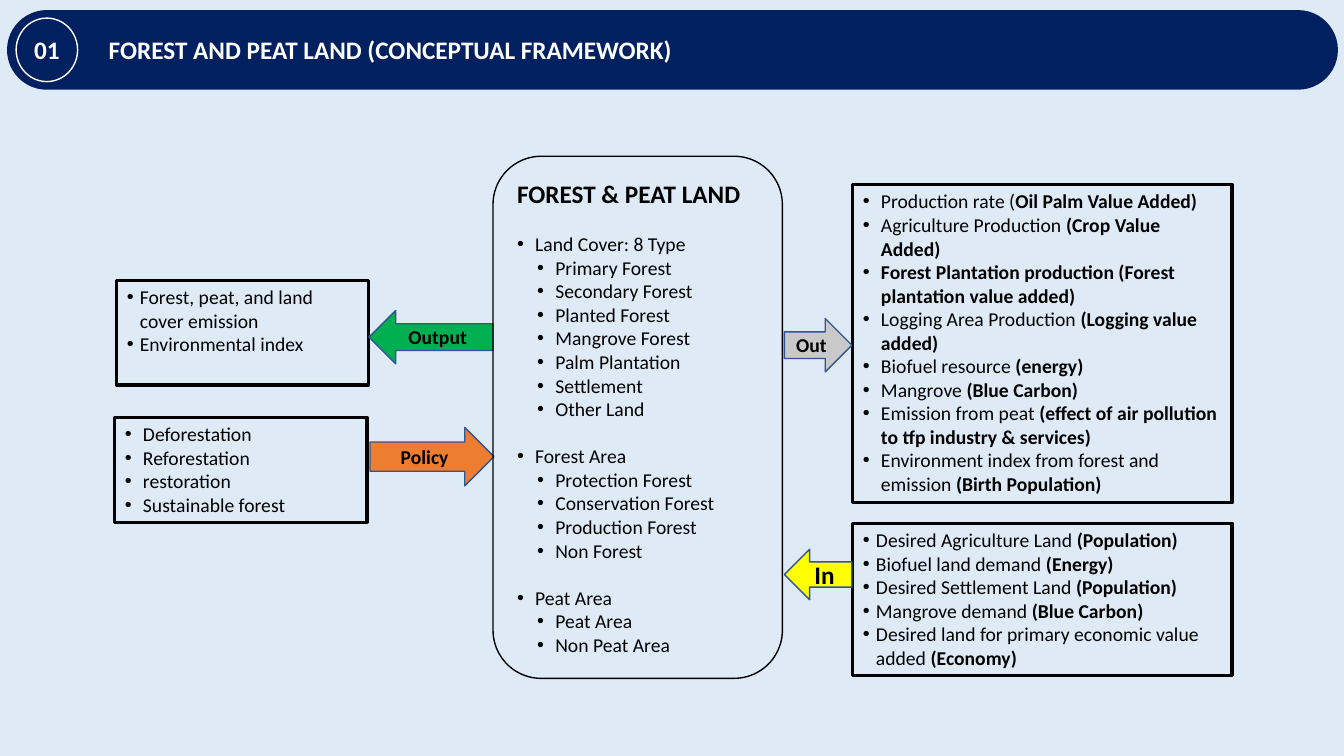
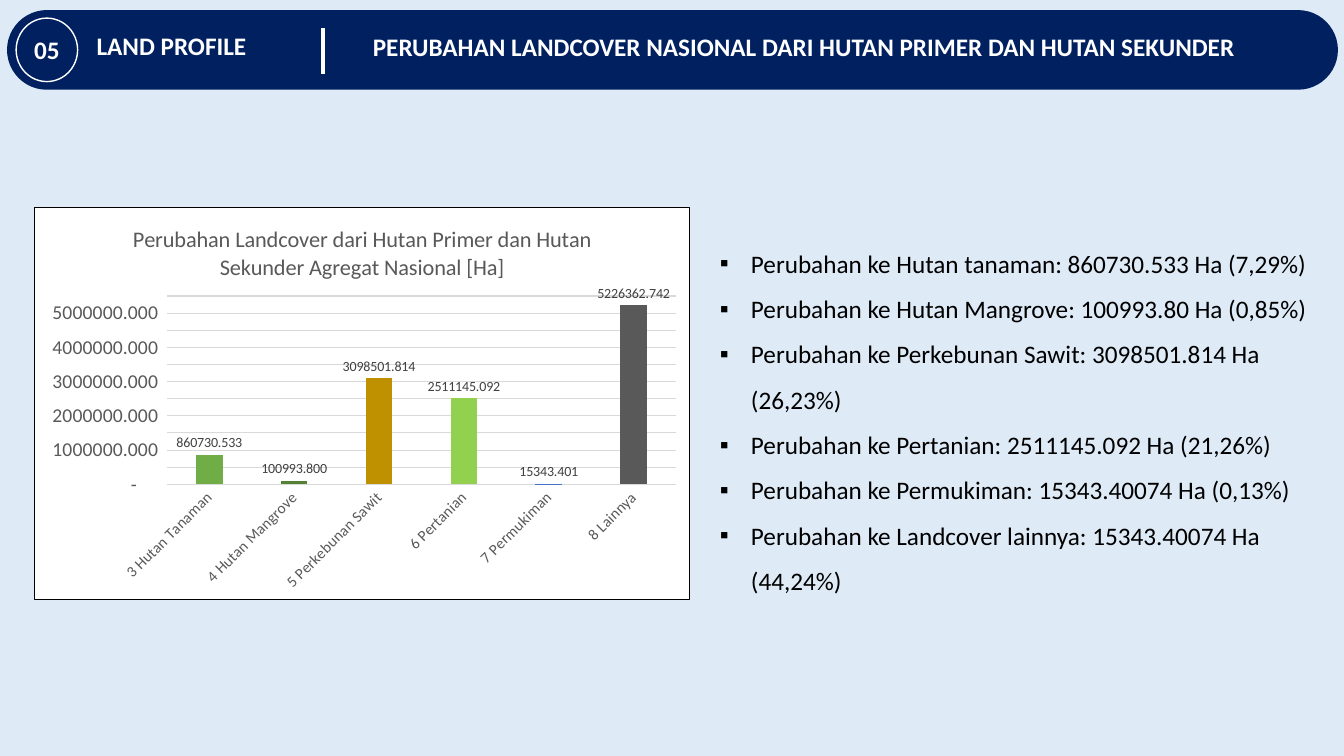
import pptx
import pptx.chart.data
import pptx.dml.color
import pptx.enum.chart
import pptx.enum.shapes
import pptx.enum.text
import pptx.oxml
import pptx.oxml.ns
import pptx.util

Inches, Pt = pptx.util.Inches, pptx.util.Pt
Shape = pptx.enum.shapes.MSO_SHAPE
Anchor = pptx.enum.text.MSO_ANCHOR
Align = pptx.enum.text.PP_ALIGN
qn = pptx.oxml.ns.qn

FONT = "Calibri"
SKY, NAVY, WHITE, BLACK = "DEEBF7", "002060", "FFFFFF", "000000"
EDGE, GRID, GREY, DARK = "325491", "D9D9D9", "595959", "404040"
FORMAT = r'_(* #.##0_);_(* \(#.##0\);_(* "-"??_);_(@_)'


def tone(code):
    return pptx.dml.color.RGBColor.from_string(code)


def paint(item, fill=None, line=None, width=1):
    """Set fill and outline; None means there is none."""
    if fill:
        item.fill.solid()
        item.fill.fore_color.rgb = tone(fill)
    else:
        item.fill.background()
    if line:
        item.line.color.rgb = tone(line)
        item.line.width = Pt(width)
    else:
        item.line.fill.background()


def style(font, size, color=BLACK, bold=False):
    font.name, font.size, font.bold = FONT, Pt(size), bold
    font.color.rgb = tone(color)


def bullet(para, hang, left=None, mark="•"):
    props = para._p.get_or_add_pPr()
    props.set("marL", str(Inches(left or hang)))
    props.set("indent", str(-Inches(hang)))
    for tag, key, value in (("buFont", "typeface", "Arial"), ("buChar", "char", mark)):
        node = pptx.oxml.ns.nsdecls("a")
        props.append(pptx.oxml.parse_xml(f'<a:{tag} {node} {key}="{value}"/>'))


class Deck:
    def __init__(self):
        self.show = pptx.Presentation()
        self.show.slide_width, self.show.slide_height = Inches(13.33), Inches(7.5)
        fill = self.show.slide_master.background.fill
        fill.solid()
        fill.fore_color.rgb = tone(SKY)
        self.slide = None

    def start(self, number):
        """Add a slide with the header band and its number."""
        self.slide = self.show.slides.add_slide(self.show.slide_layouts[6])
        band = self.shape(Shape.ROUNDED_RECTANGLE, (0.07, 0.1, 13.2, 0.79), NAVY)
        band.adjustments[0] = 0.5
        badge = self.shape(Shape.OVAL, (0.16, 0.18, 0.61, 0.63), NAVY, WHITE)
        frame = badge.text_frame
        frame.margin_left = frame.margin_right = 0
        self.label(badge, number, 18, WHITE)

    def shape(self, kind, place, fill=None, line=None, width=1):
        item = self.slide.shapes.add_shape(kind, *map(Inches, place))
        item.shadow.inherit = False
        paint(item, fill, line, width)
        return item

    def label(self, item, text, size, color=BLACK):
        """Centre one bold line in a shape."""
        frame = item.text_frame
        frame.word_wrap, frame.vertical_anchor = True, Anchor.MIDDLE
        para = frame.paragraphs[0]
        para.alignment = Align.CENTER
        self.run(para, text, size, color, True)

    def run(self, para, text, size, color=BLACK, bold=False):
        part = para.add_run()
        part.text = text
        style(part.font, size, color, bold)

    def paras(self, frame, count):
        """Yield left-aligned paragraphs, the first one already there."""
        frame.word_wrap = True
        for index in range(count):
            para = frame.add_paragraph() if index else frame.paragraphs[0]
            para.alignment = Align.LEFT
            yield para

    def text(self, place):
        return self.slide.shapes.add_textbox(*map(Inches, place)).text_frame

    def title(self, text, left, top, width):
        frame = self.text((left, top, width, 0.4))
        for para in self.paras(frame, 1):
            self.run(para, text, 18, WHITE, True)

    def box(self, place, hang, items):
        """Outlined list; each item is a plain part and a bold part."""
        item = self.shape(Shape.RECTANGLE, place, None, BLACK, 2.25)
        frame = item.text_frame
        frame.vertical_anchor = Anchor.TOP
        for para, parts in zip(self.paras(frame, len(items)), items):
            bullet(para, hang)
            for text, bold in zip(parts, (False, True)):
                if text:
                    self.run(para, text, 14, bold=bold)

    def panel(self, place, title, groups):
        """Rounded box with a heading and two-level groups."""
        item = self.shape(Shape.ROUNDED_RECTANGLE, place, None, BLACK)
        frame = item.text_frame
        frame.vertical_anchor = Anchor.MIDDLE
        count = 1 + sum(1 + len(names) for names in groups.values())
        paras = self.paras(frame, count)
        self.run(next(paras), title, 18, bold=True)
        for head, names in groups.items():
            para = next(paras)
            para.space_before = Pt(17)
            bullet(para, 0.18)
            self.run(para, head, 14)
            for name in names:
                para = next(paras)
                para.level = 1
                bullet(para, 0.18, 0.38)
                self.run(para, name, 14)

    def arrow(self, kind, place, fill, text, size=14):
        self.label(self.shape(kind, place, fill, EDGE), text, size)

    def notes(self, place, items):
        frame = self.text(place)
        for para, text in zip(self.paras(frame, len(items)), items):
            para.line_spacing = 1.5
            bullet(para, 0.31, mark="▪")
            self.run(para, text, 18)

    def rule(self, left, top, end):
        """Vertical white divider."""
        line = self.slide.shapes.add_connector(
            pptx.enum.shapes.MSO_CONNECTOR.STRAIGHT,
            Inches(left), Inches(top), Inches(left), Inches(end))
        line.line.color.rgb, line.line.width = tone(WHITE), Pt(3)
        line._element.spPr.append(
            pptx.oxml.parse_xml(f'<a:effectLst {pptx.oxml.ns.nsdecls("a")}/>'))

    def chart(self, place, title, rows):
        """Column chart; each row is category, value and colour."""
        data = pptx.chart.data.CategoryChartData()
        data.categories = [row[0] for row in rows]
        data.add_series("Series 1", [row[1] for row in rows])
        chart = self.slide.shapes.add_chart(
            pptx.enum.chart.XL_CHART_TYPE.COLUMN_CLUSTERED,
            *map(Inches, place), data).chart
        style(chart.font, 10)
        chart.has_legend = False
        chart.has_title = True
        chart.chart_title.include_in_layout = False
        self.run(chart.chart_title.text_frame.paragraphs[0], title, 16, GREY)
        self.frame(chart)
        self.axes(chart)
        plot = chart.plots[0]
        plot.vary_by_categories = False
        plot.gap_width, plot.overlap = 219, -27
        series = plot.series[0]
        series.invert_if_negative = False
        for index, row in enumerate(rows):
            fill = series.points[index].format.fill
            fill.solid()
            fill.fore_color.rgb = tone(row[2])
        labels = series.data_labels
        labels.show_value = True
        labels.position = pptx.enum.chart.XL_LABEL_POSITION.OUTSIDE_END
        labels.number_format, labels.number_format_is_linked = FORMAT, False
        style(labels.font, 10, DARK)

    def frame(self, chart):
        """Give the chart area a white fill and a thin black border."""
        area = pptx.oxml.parse_xml(
            f'<c:spPr {pptx.oxml.ns.nsdecls("c", "a")}>'
            f'<a:solidFill><a:srgbClr val="{WHITE}"/></a:solidFill>'
            f'<a:ln w="{Pt(0.75)}"><a:solidFill><a:srgbClr val="{BLACK}"/>'
            '</a:solidFill></a:ln></c:spPr>')
        chart._chartSpace.find(qn("c:chart")).addnext(area)

    def axes(self, chart):
        cat, val = chart.category_axis, chart.value_axis
        for axis, size in ((cat, 11), (val, 14)):
            axis.major_tick_mark = pptx.enum.chart.XL_TICK_MARK.NONE
            style(axis.tick_labels.font, size, GREY)
        turn = cat._element.find(qn("c:txPr")).find(qn("a:bodyPr"))
        turn.set("rot", "-2700000")
        turn.set("vert", "horz")
        val.minimum_scale, val.maximum_scale, val.major_unit = 0, 5500000, 500000
        val.has_major_gridlines = True
        val.format.line.fill.background()
        val.tick_labels.number_format = FORMAT
        val.tick_labels.number_format_is_linked = False
        for line in (cat.format.line, val.major_gridlines.format.line):
            line.color.rgb, line.width = tone(GRID), Pt(0.75)


def forest(deck):
    deck.start("01")
    deck.title("FOREST AND PEAT LAND (CONCEPTUAL FRAMEWORK)", 0.98, 0.29, 5.99)
    deck.box((8.46, 1.83, 3.76, 3.16), 0.18, [
        ("Production rate (", "Oil Palm Value Added)"),
        ("Agriculture Production ", "(Crop Value Added)"),
        ("", "Forest Plantation production (Forest plantation value added)"),
        ("Logging Area Production", " (Logging value added)"),
        ("Biofuel resource", " (energy)"),
        ("Mangrove", " (Blue Carbon)"),
        ("Emission from peat ", "(effect of air pollution to tfp industry & services)"),
        ("Environment index from forest and emission ", "(Birth Population)"),
    ])
    deck.box((8.46, 5.19, 3.76, 1.51), 0.13, [
        ("Desired Agriculture Land ", "(Population)"),
        ("Biofuel land demand ", "(Energy)"),
        ("Desired Settlement Land ", "(Population)"),
        ("Mangrove demand", " (Blue Carbon)"),
        ("Desired land for primary economic value added ", "(Economy)"),
    ])
    deck.box((1.16, 2.78, 2.5, 1.04), 0.13, [
        ("Forest, peat, and land cover emission",), ("Environmental index",)])
    deck.box((1.14, 4.14, 2.5, 1.04), 0.18, [
        ("Deforestation",), ("Reforestation",), ("restoration",),
        ("Sustainable forest",)])
    deck.arrow(Shape.RIGHT_ARROW, (7.78, 3.16, 0.67, 0.53), "C9C9C9", "Out")
    deck.arrow(Shape.RIGHT_ARROW, (3.67, 4.24, 1.23, 0.58), "ED7D31", "Policy")
    deck.arrow(Shape.LEFT_ARROW, (3.66, 3.08, 1.23, 0.53), "00B050", "Output")
    deck.arrow(Shape.LEFT_ARROW, (7.78, 5.45, 0.67, 0.5), "FFFF00", "In", 18)
    deck.panel((4.89, 1.55, 2.87, 5.18), "FOREST & PEAT LAND", {
        "Land Cover: 8 Type": [
            "Primary Forest", "Secondary Forest", "Planted Forest",
            "Mangrove Forest", "Palm Plantation", "Settlement", "Other Land"],
        "Forest Area": [
            "Protection Forest", "Conservation Forest", "Production Forest",
            "Non Forest"],
        "Peat Area": ["Peat Area", "Non Peat Area"],
    })


def profile(deck):
    deck.start("05")
    deck.title("LAND PROFILE", 0.86, 0.25, 1.7)
    deck.rule(3.2, 0.28, 0.73)
    deck.title("PERUBAHAN LANDCOVER NASIONAL DARI HUTAN PRIMER DAN HUTAN SEKUNDER",
               3.6, 0.26, 8.84)
    deck.chart(
        (0.34, 2.05, 6.5, 3.9),
        "Perubahan Landcover dari Hutan Primer dan Hutan Sekunder Agregat Nasional [Ha]",
        [("3 Hutan Tanaman", 860730.533, "70AD47"),
         ("4 Hutan Mangrove", 100993.8, "548235"),
         ("5 Perkebunan Sawit", 3098501.814, "BF9000"),
         ("6 Pertanian", 2511145.092, "92D050"),
         ("7 Permukiman", 15343.401, "4472C4"),
         ("8 Lainnya", 5226362.742, GREY)])
    deck.notes((7.04, 2.26, 6.29, 3.69), [
        "Perubahan ke Hutan tanaman: 860730.533 Ha (7,29%)",
        "Perubahan ke Hutan Mangrove: 100993.80 Ha (0,85%)",
        "Perubahan ke Perkebunan Sawit: 3098501.814 Ha (26,23%)",
        "Perubahan ke Pertanian: 2511145.092 Ha (21,26%)",
        "Perubahan ke Permukiman: 15343.40074 Ha (0,13%)",
        "Perubahan ke Landcover lainnya: 15343.40074 Ha (44,24%)",
    ])


def main():
    deck = Deck()
    forest(deck)
    profile(deck)
    deck.show.save("out.pptx")


if __name__ == "__main__":
    main()
